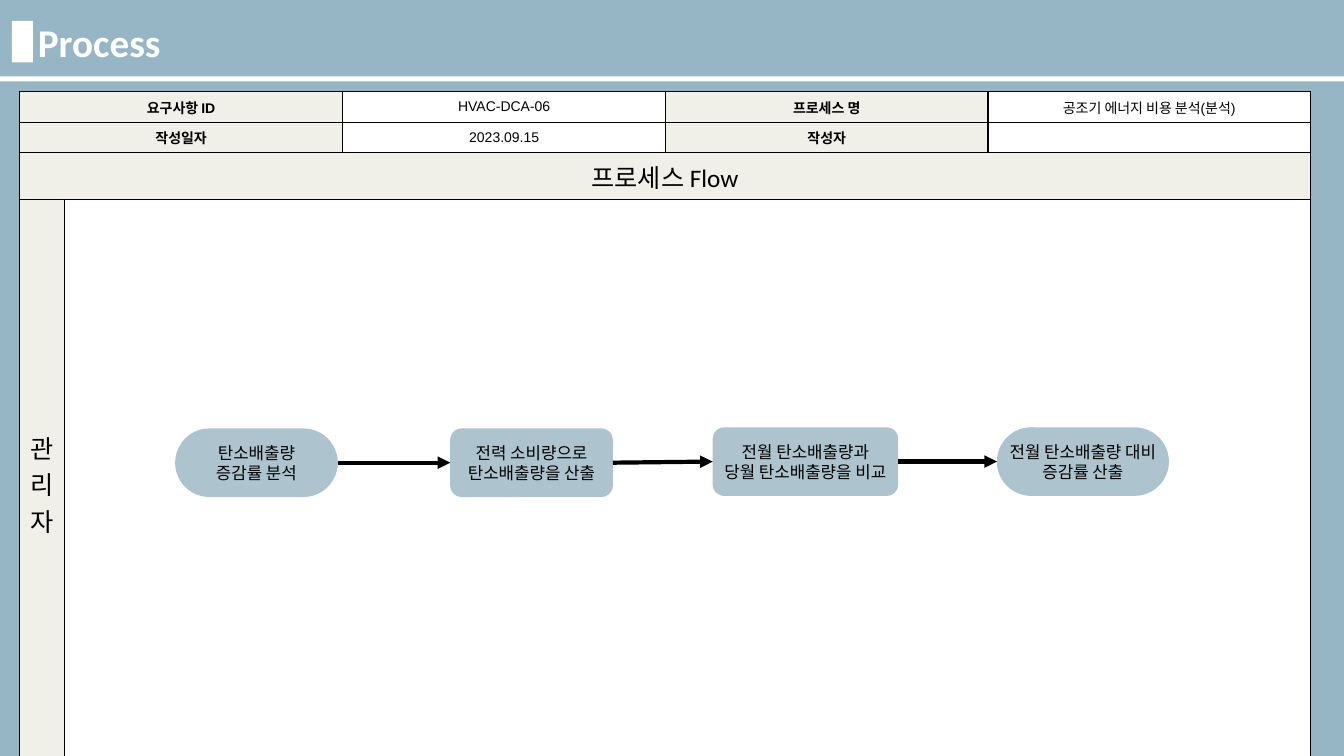
import pptx
import pptx.dml.color
import pptx.enum.shapes
import pptx.enum.text
import pptx.oxml
import pptx.util
from pptx.oxml.ns import nsdecls

Pt = pptx.util.Pt
RGB = pptx.dml.color.RGBColor
MIDDLE = pptx.enum.text.MSO_ANCHOR.MIDDLE
CENTER = pptx.enum.text.PP_ALIGN.CENTER
SHAPES = pptx.enum.shapes.MSO_SHAPE

BLUE = RGB(0x96, 0xB6, 0xC5)
STEP_BLUE = RGB(0xAD, 0xC4, 0xCE)
IVORY = RGB(0xF1, 0xF0, 0xE8)
WHITE = RGB(0xFF, 0xFF, 0xFF)
BLACK = RGB(0, 0, 0)

TITLE = "Process"
# row, first column, last column, text, is a heading
INFO_CELLS = [
    (0, 0, 1, "요구사항 ID", True),
    (0, 2, 2, "HVAC-DCA-06", False),
    (0, 3, 3, "프로세스 명", True),
    (0, 4, 4, "공조기 에너지 비용 분석(분석)", False),
    (1, 0, 1, "작성일자", True),
    (1, 2, 2, "2023.09.15", False),
    (1, 3, 3, "작성자", True),
    (1, 4, 4, "", False),
]
FLOW_CELLS = [
    (2, 0, 4, "프로세스 Flow", True),
    (3, 0, 0, "관리자", True),
    (3, 1, 4, "", False),
]
COLUMN_WIDTHS = [32.4, 198.7, 230.4, 230.4, 230.4]
ROW_HEIGHTS = [21.8, 21.8, 32.6, 406]
TABLE_LEFT, TABLE_TOP = 13.8, 65.6

# lines, left, top, width, corner rounding
STEPS = [
    (["탄소배출량", "증감률 분석"], 125.1, 306, 116.2, 0.5),
    (["전력 소비량으로", "탄소배출량을 산출"], 321.6, 306, 116.2, 0.1667),
    (["전월 탄소배출량과", "당월 탄소배출량을 비교"], 509.1, 305.2, 132.5, 0.1667),
    (["전월 탄소배출량 대비", "증감률 산출"], 712.1, 305.2, 122.9, 0.5),
]
STEP_HEIGHT = 49
SITE_LEFT, SITE_RIGHT = 1, 3


def write(frame, lines, size, font="Calibri", color=BLACK, bold=False, align=CENTER):
    for index, line in enumerate(lines):
        paragraph = frame.add_paragraph() if index else frame.paragraphs[0]
        paragraph.alignment = align
        if not line:
            paragraph._p.append(pptx.oxml.parse_xml(
                f'<a:endParaRPr {nsdecls("a")} sz="{size * 100}"/>'))
            continue
        run = paragraph.add_run()
        run.text = line
        run.font.size = Pt(size)
        run.font.name = font
        run.font.bold = bold
        run.font.color.rgb = color


def add_block(slide, kind, left, top, width, height, color):
    block = slide.shapes.add_shape(kind, Pt(left), Pt(top), Pt(width), Pt(height))
    block.shadow.inherit = False
    block.fill.solid()
    block.fill.fore_color.rgb = color
    block.line.fill.background()
    return block


def paint_cell(cell, color):
    """Fill a cell and give it a thin black border on every side."""
    cell.fill.solid()
    cell.fill.fore_color.rgb = color
    properties = cell._tc.get_or_add_tcPr()
    for index, side in enumerate("LRTB"):
        properties.insert(index, pptx.oxml.parse_xml(
            f'<a:ln{side} {nsdecls("a")} w="12700"><a:solidFill>'
            f'<a:srgbClr val="{BLACK}"/></a:solidFill></a:ln{side}>'))


def add_process_table(slide):
    table = slide.shapes.add_table(
        len(ROW_HEIGHTS), len(COLUMN_WIDTHS), Pt(TABLE_LEFT), Pt(TABLE_TOP),
        Pt(sum(COLUMN_WIDTHS)), Pt(sum(ROW_HEIGHTS))).table
    table.first_row = table.horz_banding = False
    for column, width in zip(table.columns, COLUMN_WIDTHS):
        column.width = Pt(width)
    for row, height in zip(table.rows, ROW_HEIGHTS):
        row.height = Pt(height)
    for cells, size, font in ((INFO_CELLS, 10, "Arial"), (FLOW_CELLS, 18, "Calibri")):
        for row, first, last, text, heading in cells:
            for column in range(first, last + 1):
                paint_cell(table.cell(row, column), IVORY if heading else WHITE)
            cell = table.cell(row, first)
            if last > first:
                cell.merge(table.cell(row, last))
            cell.vertical_anchor = MIDDLE
            write(cell.text_frame, [text], size, font=font,
                  bold=heading and cells is INFO_CELLS)


def add_step(slide, lines, left, top, width, rounding):
    step = add_block(slide, SHAPES.ROUNDED_RECTANGLE, left, top, width,
                     STEP_HEIGHT, STEP_BLUE)
    step.adjustments[0] = rounding
    step.text_frame.word_wrap = False
    step.text_frame.vertical_anchor = MIDDLE
    write(step.text_frame, lines, 12)
    return step


def add_arrow(slide, source, target):
    arrow = slide.shapes.add_connector(
        pptx.enum.shapes.MSO_CONNECTOR.STRAIGHT, 0, 0, 0, 0)
    arrow.begin_connect(source, SITE_RIGHT)
    arrow.end_connect(target, SITE_LEFT)
    arrow.line.color.rgb = BLACK
    arrow.line.width = Pt(3)
    arrow.line._get_or_add_ln().append(
        pptx.oxml.parse_xml(f'<a:tailEnd {nsdecls("a")} type="triangle"/>'))
    arrow._element.spPr.append(
        pptx.oxml.parse_xml(f'<a:effectLst {nsdecls("a")}/>'))


def main():
    deck = pptx.Presentation()
    deck.slide_width, deck.slide_height = Pt(960), Pt(540)
    slide = deck.slides.add_slide(deck.slide_layouts[6])
    slide.background.fill.solid()
    slide.background.fill.fore_color.rgb = BLUE

    add_process_table(slide)
    title = slide.shapes.add_textbox(Pt(20), Pt(9.4), Pt(862), Pt(41)).text_frame
    title.word_wrap = True
    write(title, [TITLE], 28, color=WHITE, bold=True,
          align=pptx.enum.text.PP_ALIGN.LEFT)
    add_block(slide, SHAPES.RECTANGLE, 8.5, 15, 15, 29.5, WHITE)
    add_block(slide, SHAPES.RECTANGLE, 0, 54.6, 960, 3.6, WHITE)

    steps = [add_step(slide, *step) for step in STEPS]
    for source, target in zip(steps, steps[1:]):
        add_arrow(slide, source, target)
    deck.save("out.pptx")


if __name__ == "__main__":
    main()
